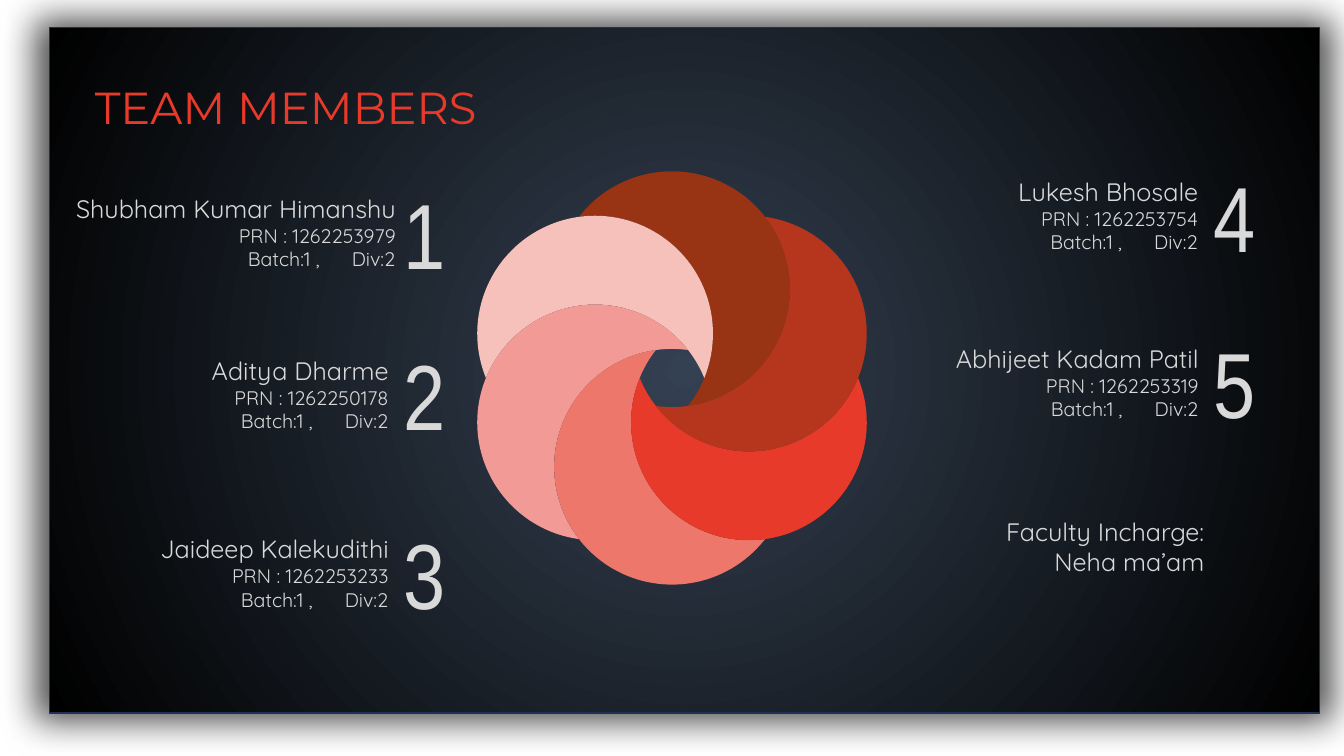
from math import atan2, cos, degrees, pi, sin

from lxml import etree
from pptx import Presentation
from pptx.dml.color import RGBColor
from pptx.enum.shapes import MSO_SHAPE as Preset
from pptx.enum.text import MSO_ANCHOR as Anchor, PP_ALIGN as Align
from pptx.oxml.ns import qn
from pptx.util import Inches, Pt

CELL = Inches(0.1)
SLIDE_COLUMNS, SLIDE_ROWS = 133.33, 75
COLORS = {
    "glow": "344152",
    "black": "000000",
    "border": "1E3256",
    "title": "E73A2A",
    "text": "D9D9D9",
}
PETALS = ["983313", "F6C1BB", "F29A96", "ED776B", "E73A2A", "B5361D"]
ARC_STEPS = 60
BATCH_GAP = 7.5
LEFT_NUMBERS, RIGHT_NUMBERS = 39.05, 119.4
MEMBERS = [
    ("1", "Shubham Kumar Himanshu", "1262253979", LEFT_NUMBERS, (3.05, 18.7, 37.2, 8.8)),
    ("2", "Aditya Dharme", "1262250178", LEFT_NUMBERS, (13.35, 34.75, 26.2, 8.8)),
    ("3", "Jaideep Kalekudithi", "1262253233", LEFT_NUMBERS, (13.35, 52.45, 26.2, 8.8)),
    ("4", "Lukesh Bhosale", "1262253754", RIGHT_NUMBERS, (93.65, 17, 26.2, 8.8)),
    ("5", "Abhijeet Kadam Patil", "1262253319", RIGHT_NUMBERS, (91.4, 33.55, 28.5, 8.8)),
]


def cells(*counts):
    return [round(CELL * count) for count in counts]


def format_paragraph(paragraph, size, font_name, color, align=Align.LEFT):
    paragraph.alignment = align
    for run in paragraph.runs:
        run.font.size = Pt(size)
        run.font.name = font_name
        run.font.color.rgb = RGBColor.from_string(COLORS[color])


def add_text(slide, box, lines, sizes, font_name, align, wrap=True):
    frame = slide.shapes.add_textbox(*cells(*box)).text_frame
    frame.word_wrap = wrap
    frame.text = "\n".join(lines)
    for paragraph, size in zip(frame.paragraphs, sizes):
        format_paragraph(paragraph, size, font_name, "text", align)
    return frame


def add_panel(slide, box):
    panel = slide.shapes.add_shape(Preset.RECTANGLE, *cells(*box))
    slide.shapes._spTree.insert(2, panel._element)
    panel.line.color.rgb = RGBColor.from_string(COLORS["border"])
    panel.line.width = Pt(1)
    panel.fill.gradient()
    for stop, name in zip(panel.fill.gradient_stops, ("glow", "black")):
        stop.color.rgb = RGBColor.from_string(COLORS[name])
    properties = panel._element.spPr
    gradient = properties.find(qn("a:gradFill"))
    for stop, position in zip(gradient.iter(qn("a:gs")), ("0", "100000")):
        stop.set("pos", position)
    gradient.remove(gradient.find(qn("a:lin")))
    radial = etree.Element(qn("a:path"), {"path": "circle"})
    etree.SubElement(radial, qn("a:fillToRect"), dict.fromkeys("ltrb", "50000"))
    gradient.find(qn("a:gsLst")).addnext(radial)

    panel.shadow.inherit = False
    shadow = etree.SubElement(
        properties.find(qn("a:effectLst")), qn("a:outerShdw"),
        {"blurRad": str(Pt(25)), "dist": "0", "sx": "102000", "sy": "102000",
         "algn": "ctr", "rotWithShape": "0"})
    tint = etree.SubElement(shadow, qn("a:srgbClr"), {"val": COLORS["black"]})
    etree.SubElement(tint, qn("a:alpha"), {"val": "70000"})


def add_title(slide, box):
    title = slide.shapes.title
    title.left, title.top, title.width, title.height = cells(*box)
    frame = title.text_frame
    frame.text = "TEAM MEMBERS"
    frame.word_wrap = True
    frame.vertical_anchor = Anchor.TOP
    format_paragraph(frame.paragraphs[0], 32, "Montserrat", "title")


def arc(center, radius, start, sweep):
    angles = [start + sweep * step / ARC_STEPS for step in range(ARC_STEPS + 1)]
    return [(center[0] + radius * cos(angle), center[1] + radius * sin(angle))
            for angle in angles]


def use_true_arcs(shape, radius, arcs):
    outline = next(shape._element.iter(qn("a:path")))
    for segment in outline.findall(qn("a:lnTo")):
        outline.remove(segment)
    closing = outline.find(qn("a:close"))
    size = str(cells(radius)[0])
    for start, sweep in arcs:
        closing.addprevious(etree.Element(qn("a:arcTo"), {
            "wR": size, "hR": size,
            "stAng": str(round(degrees(start % (2 * pi)) * 60000)),
            "swAng": str(round(degrees(sweep) * 60000))}))


def add_petal(slide, middle, orbit, radius, angle, color):
    def on_orbit(distance, direction):
        return (middle[0] + distance * cos(direction), middle[1] + distance * sin(direction))

    def bearing(center, point):
        return atan2(point[1] - center[1], point[0] - center[0])

    center, neighbour = on_orbit(orbit, angle), on_orbit(orbit, angle - pi / 3)
    half_chord = (radius ** 2 - (orbit / 2) ** 2) ** 0.5
    halfway = orbit * cos(pi / 6)
    outer_tip = on_orbit(halfway + half_chord, angle - pi / 6)
    inner_tip = on_orbit(halfway - half_chord, angle - pi / 6)

    start, end = bearing(center, outer_tip), bearing(center, inner_tip)
    outer_arc = (start, (end - start) % (2 * pi))
    start, end = bearing(neighbour, inner_tip), bearing(neighbour, outer_tip)
    inner_arc = (start, -((start - end) % (2 * pi)))

    edge = arc(center, radius, *outer_arc) + arc(neighbour, radius, *inner_arc)
    points = [cells(*point) for point in edge]
    builder = slide.shapes.build_freeform(*points[0])
    builder.add_line_segments(points[1:], close=True)
    petal = builder.convert_to_shape()
    use_true_arcs(petal, radius, (outer_arc, inner_arc))
    petal.shadow.inherit = False
    petal.fill.solid()
    petal.fill.fore_color.rgb = RGBColor.from_string(color)
    petal.line.fill.background()


def add_flower(slide, box):
    left, top, width, height = box
    middle = (left + width / 2, top + height / 2)
    orbit = (height - width) / (2 - 2 * cos(pi / 6))
    radius = height / 2 - orbit
    for index, color in enumerate(PETALS):
        add_petal(slide, middle, orbit, radius, -pi / 2 - index * pi / 3, color)


def add_member(slide, number, name, registration, number_left, box):
    left, top, width, height = box
    lines = [name, f"PRN : {registration}", "\tBatch:1 ,\tDiv:2"]
    frame = add_text(slide, box, lines, (18, 14, 14), "Quicksand", Align.RIGHT)
    batch = frame.paragraphs[-1]
    batch.alignment = Align.LEFT
    tabs = etree.SubElement(batch._p.get_or_add_pPr(), qn("a:tabLst"))
    text_edge = width - 2.01
    for position in cells(text_edge - BATCH_GAP, text_edge):
        etree.SubElement(tabs, qn("a:tab"), {"pos": str(position), "algn": "r"})
    number_box = (number_left, top - 1.65, 6, 12.1)
    add_text(slide, number_box, [number], [66], "Arial Narrow", Align.LEFT, wrap=False)


def add_faculty(slide, box):
    lines = ["Faculty Incharge:", "Neha ma’am"]
    add_text(slide, box, lines, (18, 18), "Quicksand", Align.RIGHT)


def main():
    presentation = Presentation()
    presentation.slide_width, presentation.slide_height = cells(SLIDE_COLUMNS, SLIDE_ROWS)
    slide = presentation.slides.add_slide(presentation.slide_layouts[5])
    add_panel(slide, (4.9, 2.73, 126, 68))
    add_title(slide, (8.4, 7.4, 43.1, 6.4))
    add_flower(slide, (47.35, 17, 38.64, 41))
    for member in MEMBERS:
        add_member(slide, *member)
    add_faculty(slide, (94.25, 50.75, 26.2, 7.1))
    presentation.save("out.pptx")


if __name__ == "__main__":
    main()
